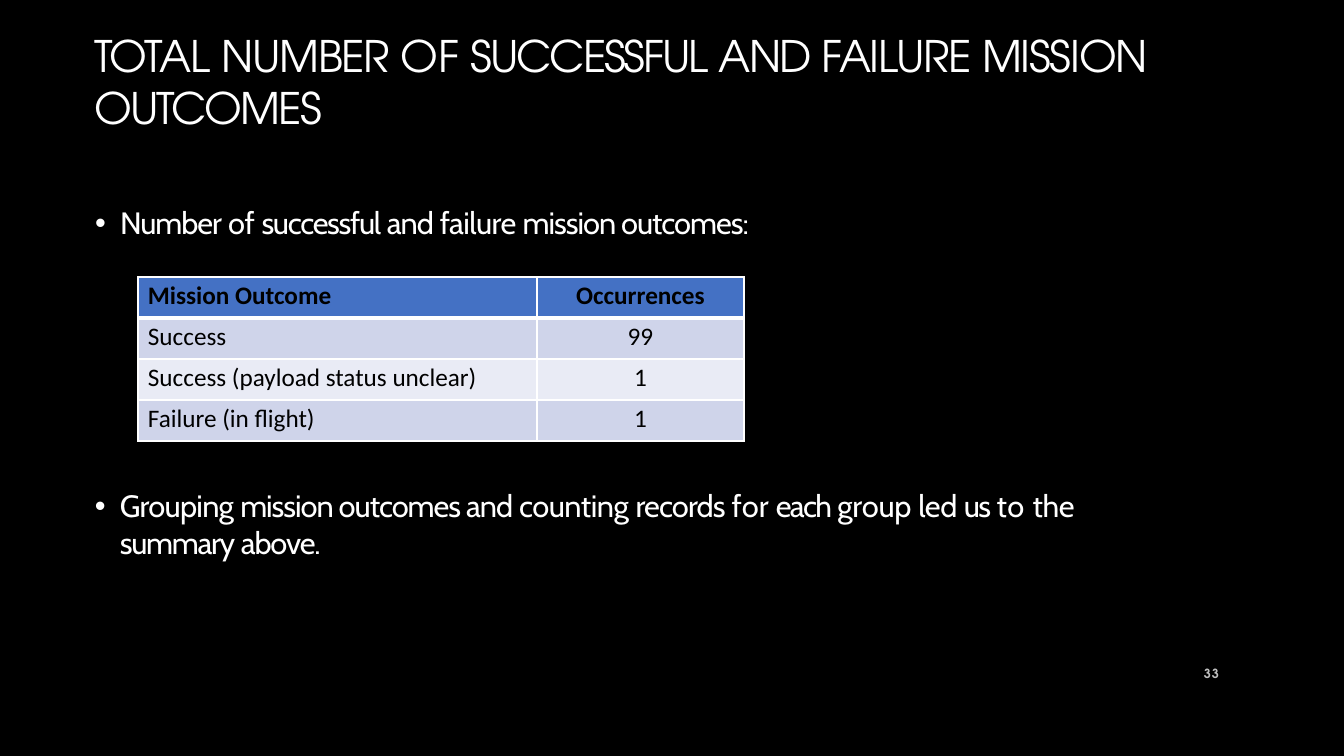
from lxml import etree
from pptx import Presentation
from pptx.dml.color import RGBColor
from pptx.enum.text import MSO_ANCHOR as Anchor, MSO_AUTO_SIZE as AutoSize, PP_ALIGN as Align
from pptx.oxml.ns import qn
from pptx.util import Pt

PX = 914400 / 100.8
BLACK = RGBColor(0x00, 0x00, 0x00)
WHITE = RGBColor(0xFF, 0xFF, 0xFF)
GREY = RGBColor(0xBF, 0xBF, 0xBF)
HEADER_BLUE = RGBColor(0x44, 0x71, 0xC4)
BAND_DARK = RGBColor(0xCF, 0xD4, 0xEA)
BAND_LIGHT = RGBColor(0xE9, 0xEB, 0xF5)

TITLE_FONT = {"name": "TeX Gyre Adventor", "size": Pt(31)}
NUMBER_FONT = {"name": "TeX Gyre Adventor", "size": Pt(9), "bold": True}
BODY_FONT = {"name": "Cabin", "size": Pt(22)}
TABLE_FONT = {"name": "Calibri", "size": Pt(18)}

TITLE = [("TOTAL ", -0.8), ("NUMBER ", -0.9), ("OF ", -0.1), ("SUCCESSFUL ", -1.5),
         ("AND FAILURE ", -0.9), ("MISSION ", -0.8), ("OUTCOMES", -1.2)]
INTRO = [("Number ", -0.7), ("of ", -0.1), ("successful ", -0.9), ("and ", -0.7),
         ("failure ", -0.4), ("mission outcomes:", -0.7)]
EXPLANATION = [("Grouping ", -0.5), ("mission outcomes and ", -0.7), ("counting ", -0.3),
               ("records ", -0.6), ("for ", 0.1), ("each ", -1.2), ("group ", -0.1),
               ("led ", -0.3), ("us ", -1.1), ("to ", 0.5), ("the ", -0.3),
               ("summary ", -0.9), ("above.", -0.8)]
OUTCOMES = [("Mission Outcome", "Occurrences"), ("Success", "99"),
            ("Success (payload status unclear)", "1"), ("Failure (in flight)", "1")]


def px(length):
    return round(length * PX)


def apply(target, values):
    for key, value in values.items():
        setattr(target, key, value)


def add_runs(paragraph, pieces, font, colour):
    for text, spacing in pieces:
        run = paragraph.add_run()
        run.text = text
        apply(run.font, font)
        run.font.color.rgb = colour
        run._r.get_or_add_rPr().set("spc", str(round(spacing * 100)))


def add_text(slide, box, pieces, font, colour, frame_format, paragraph_format):
    frame = slide.shapes.add_textbox(*map(px, box)).text_frame
    apply(frame, {"word_wrap": True, "auto_size": AutoSize.SHAPE_TO_FIT_TEXT,
                  "margin_left": 0, "margin_right": 0,
                  "margin_top": 0, "margin_bottom": 0, **frame_format})
    paragraph = frame.paragraphs[0]
    apply(paragraph, paragraph_format)
    add_runs(paragraph, pieces, font, colour)
    return paragraph


def add_title(slide, box):
    add_text(slide, box, TITLE, TITLE_FONT, WHITE,
             {"margin_top": px(1), "vertical_anchor": Anchor.MIDDLE},
             {"space_before": Pt(1)})


def add_bullet(slide, box, pieces):
    paragraph = add_text(slide, box, pieces, BODY_FONT, WHITE,
                         {"margin_top": px(1)}, {"space_before": Pt(1)})
    properties = paragraph._p.get_or_add_pPr()
    properties.set("marL", str(px(26)))
    properties.set("indent", str(px(-25)))
    etree.SubElement(properties, qn("a:buFont")).set("typeface", "Arial")
    etree.SubElement(properties, qn("a:buChar")).set("char", "•")


def add_page_number(slide, box):
    add_text(slide, box, [("33", 0.8)], NUMBER_FONT, GREY,
             {"vertical_anchor": Anchor.MIDDLE},
             {"alignment": Align.RIGHT, "line_spacing": Pt(18.4)})


def set_borders(cell, widths):
    properties = cell._tc.get_or_add_tcPr()
    for position, (side, width) in enumerate(widths.items()):
        line = etree.Element(qn(f"a:ln{side}"), w=str(Pt(width)))
        fill = etree.SubElement(line, qn("a:solidFill"))
        etree.SubElement(fill, qn("a:srgbClr")).set("val", str(WHITE))
        properties.insert(position, line)


def add_outcome_table(slide, box):
    table = slide.shapes.add_table(len(OUTCOMES), 2, *map(px, box)).table
    count_width = 207
    table.columns[0].width = px(box[2] - count_width)
    table.columns[1].width = px(count_width)
    for row, values in enumerate(OUTCOMES):
        table.rows[row].height = px(box[3] // len(OUTCOMES))
        band = HEADER_BLUE if row == 0 else (BAND_LIGHT, BAND_DARK)[row % 2]
        for column, value in enumerate(values):
            cell = table.cell(row, column)
            apply(cell, {"margin_left": px(0 if column else 10), "margin_right": 0,
                         "margin_top": px(4), "margin_bottom": 0})
            cell.fill.solid()
            cell.fill.fore_color.rgb = band
            set_borders(cell, {"L": 1, "R": 1, "T": 3 if row == 1 else 1,
                               "B": 3 if row == 0 else 1})
            paragraph = cell.text_frame.paragraphs[0]
            apply(paragraph, {"alignment": Align.CENTER if column else Align.LEFT,
                              "space_before": Pt(2.7)})
            add_runs(paragraph, [(value, 0)], {**TABLE_FONT, "bold": row == 0}, BLACK)


def main():
    deck = Presentation()
    apply(deck, {"slide_width": px(1344), "slide_height": px(756)})
    slide = deck.slides.add_slide(deck.slide_layouts[6])
    slide.background.fill.solid()
    slide.background.fill.fore_color.rgb = BLACK
    add_title(slide, (94, 53, 1079, 55))
    add_bullet(slide, (94, 203, 707, 39), INTRO)
    add_outcome_table(slide, (138, 277, 606, 164))
    add_bullet(slide, (94, 486, 1000, 77), EXPLANATION)
    add_page_number(slide, (1159, 648, 60, 40))
    deck.save("out.pptx")


if __name__ == "__main__":
    main()
